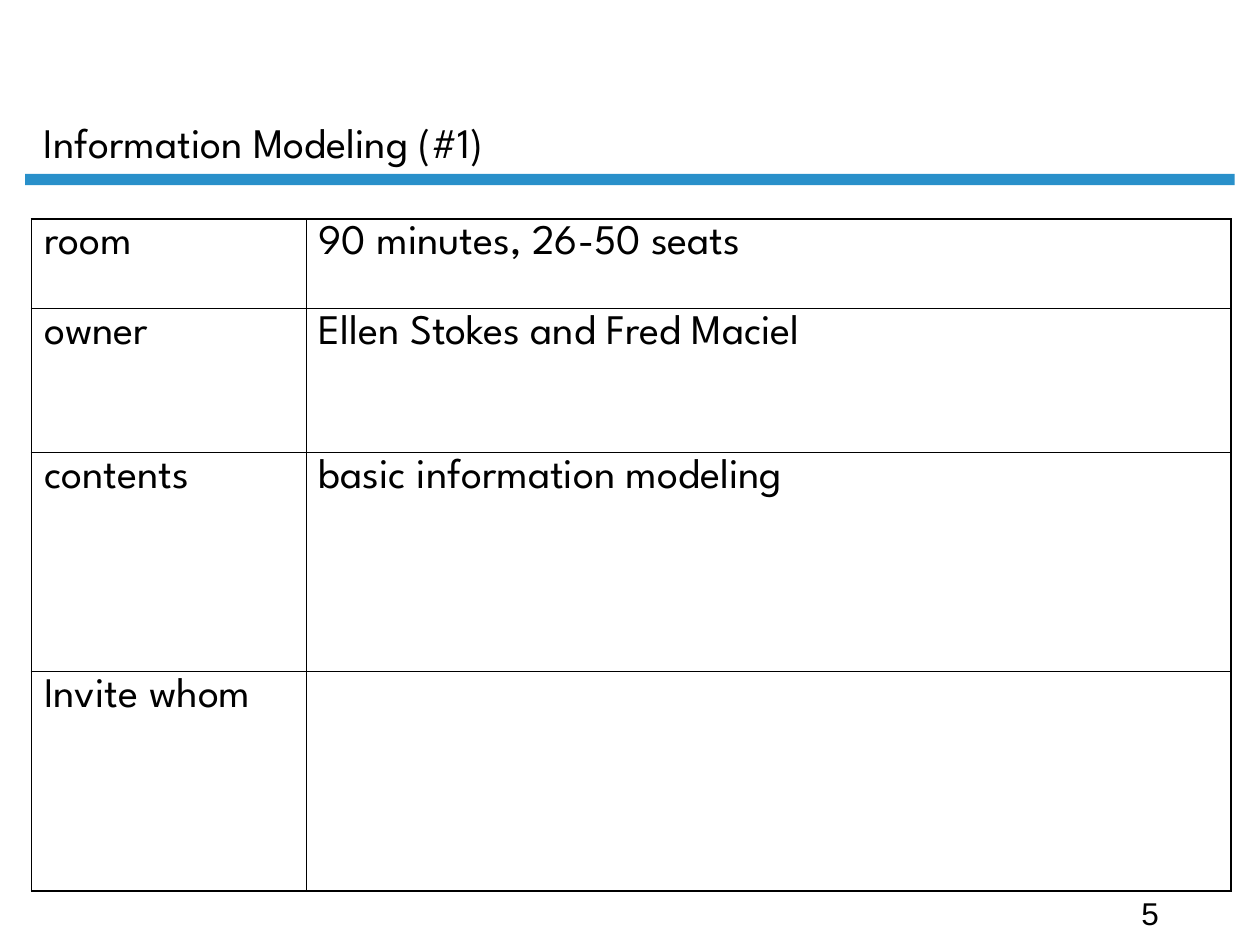
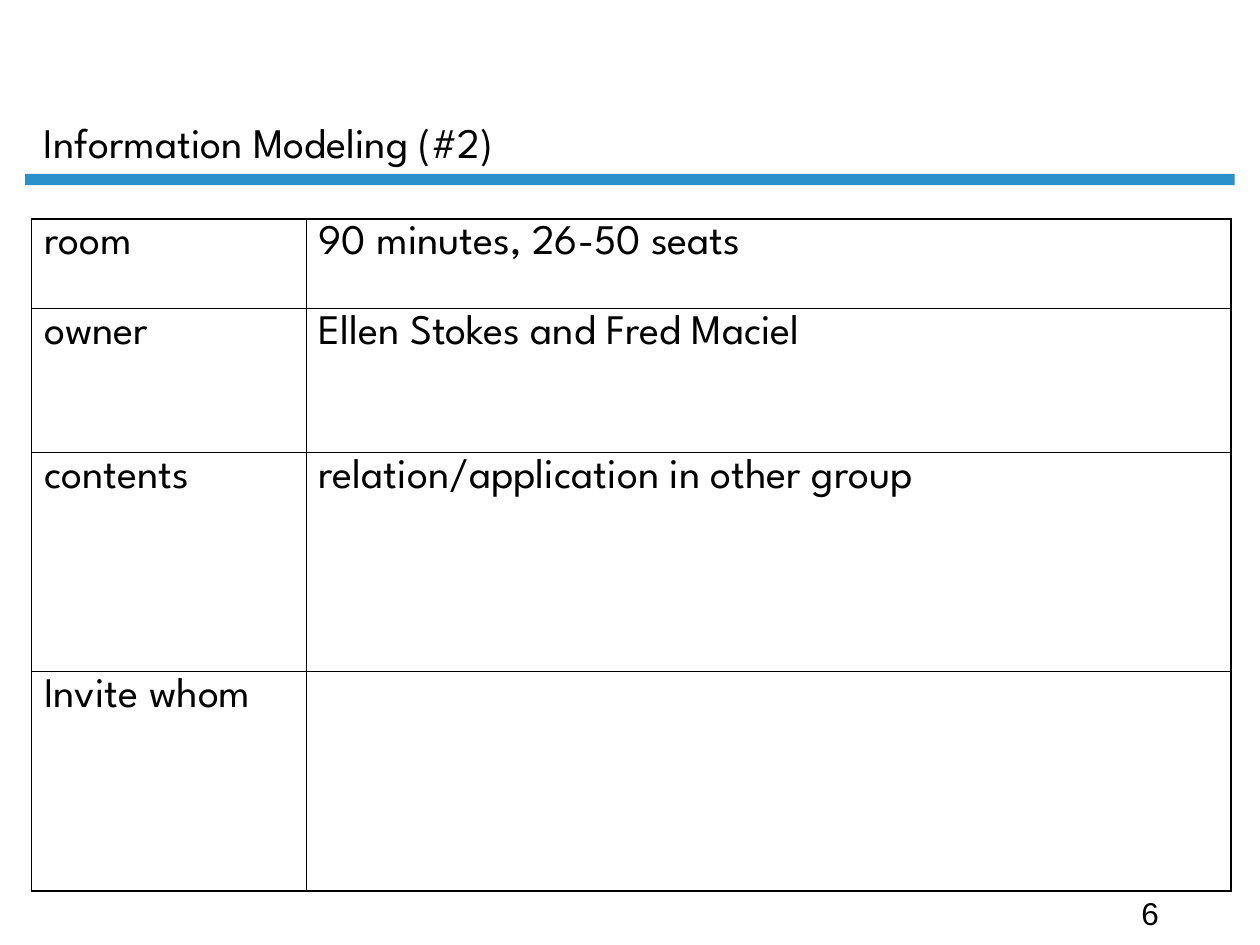
from lxml import etree
from pptx import Presentation
from pptx.dml.color import RGBColor
from pptx.enum.shapes import MSO_SHAPE
from pptx.enum.text import MSO_ANCHOR
from pptx.oxml.ns import qn
from pptx.util import Emu, Pt

RECTANGLE = MSO_SHAPE.RECTANGLE
TOP = MSO_ANCHOR.TOP
BOTTOM = MSO_ANCHOR.BOTTOM

EMU_PER_PX = 9144
SLIDE_SIZE = (1000, 750)
BLANK_LAYOUT = 6

BLACK = "000000"
BLUE = "2990CA"
BODY_FONT = "League Spartan"
NUMBER_FONT = "Arial"

TITLE_BOX = (25, 12, 856, 125)
BAND_BOX = (20, 138, 960, 9)
NUMBER_BOX = (896, 705, 134, 40)
TABLE_BOX = (25, 174, 952, 533)
COLUMN_WIDTHS = (218, 734)
ROW_HEIGHTS = (71, 114, 174, 174)
OUTER_BORDER = 1.08
INNER_BORDER = 0.45

ROW_LABELS = ("room", "owner", "contents", "Invite whom")
SESSIONS = (
    (5, "Information Modeling (#1)", "basic information modeling"),
    (6, "Information Modeling (#2)", "relation/application in other group"),
)


def px(length):
    return Emu(length * EMU_PER_PX)


def place(box):
    return [px(length) for length in box]


def color(value):
    return RGBColor.from_string(value)


def write_text(text_frame, text, font=BODY_FONT, size=24, fill=BLACK, anchor=TOP):
    text_frame.word_wrap = True
    text_frame.vertical_anchor = anchor
    paragraph = text_frame.paragraphs[0]
    run = paragraph.add_run()
    run.text = text
    run.font.name = font
    run.font.size = Pt(size)
    run.font.color.rgb = color(fill)


def add_text(slide, box, text, **text_format):
    shape = slide.shapes.add_textbox(*place(box))
    write_text(shape.text_frame, text, **text_format)


def add_band(slide, box):
    band = slide.shapes.add_shape(RECTANGLE, *place(box))
    band.shadow.inherit = False
    band.fill.solid()
    band.fill.fore_color.rgb = color(BLUE)
    band.line.fill.background()


def set_borders(cell, outer_sides):
    properties = cell._tc.get_or_add_tcPr()
    for side in "LRTB":
        width = OUTER_BORDER if side in outer_sides else INNER_BORDER
        line = etree.SubElement(properties, qn(f"a:ln{side}"), w=str(int(Pt(width))))
        fill = etree.SubElement(line, qn("a:solidFill"))
        etree.SubElement(fill, qn("a:srgbClr"), val=BLACK)


def add_session_table(slide, box, values):
    row_count, column_count = len(ROW_HEIGHTS), len(COLUMN_WIDTHS)
    table = slide.shapes.add_table(row_count, column_count, *place(box)).table
    table.first_row = False
    table.horz_banding = False
    for column, width in zip(table.columns, COLUMN_WIDTHS):
        column.width = px(width)
    for row, height in zip(table.rows, ROW_HEIGHTS):
        row.height = px(height)
    for row_index, texts in enumerate(zip(ROW_LABELS, values)):
        for column_index, text in enumerate(texts):
            cell = table.cell(row_index, column_index)
            outer_sides = {
                "L": column_index == 0,
                "R": column_index == column_count - 1,
                "T": row_index == 0,
                "B": row_index == row_count - 1,
            }
            set_borders(cell, [side for side, outer in outer_sides.items() if outer])
            cell.fill.background()
            if text:
                write_text(cell.text_frame, text)


def add_session_slide(presentation, number, title, contents):
    slide = presentation.slides.add_slide(presentation.slide_layouts[BLANK_LAYOUT])
    add_band(slide, BAND_BOX)
    add_text(slide, NUMBER_BOX, str(number), font=NUMBER_FONT, size=18)
    add_text(slide, TITLE_BOX, title, anchor=BOTTOM)
    values = ("90 minutes, 26-50 seats", "Ellen Stokes and Fred Maciel", contents, "")
    add_session_table(slide, TABLE_BOX, values)


def main():
    presentation = Presentation()
    presentation.slide_width, presentation.slide_height = place(SLIDE_SIZE)
    for number, title, contents in SESSIONS:
        add_session_slide(presentation, number, title, contents)
    presentation.save("out.pptx")


if __name__ == "__main__":
    main()
